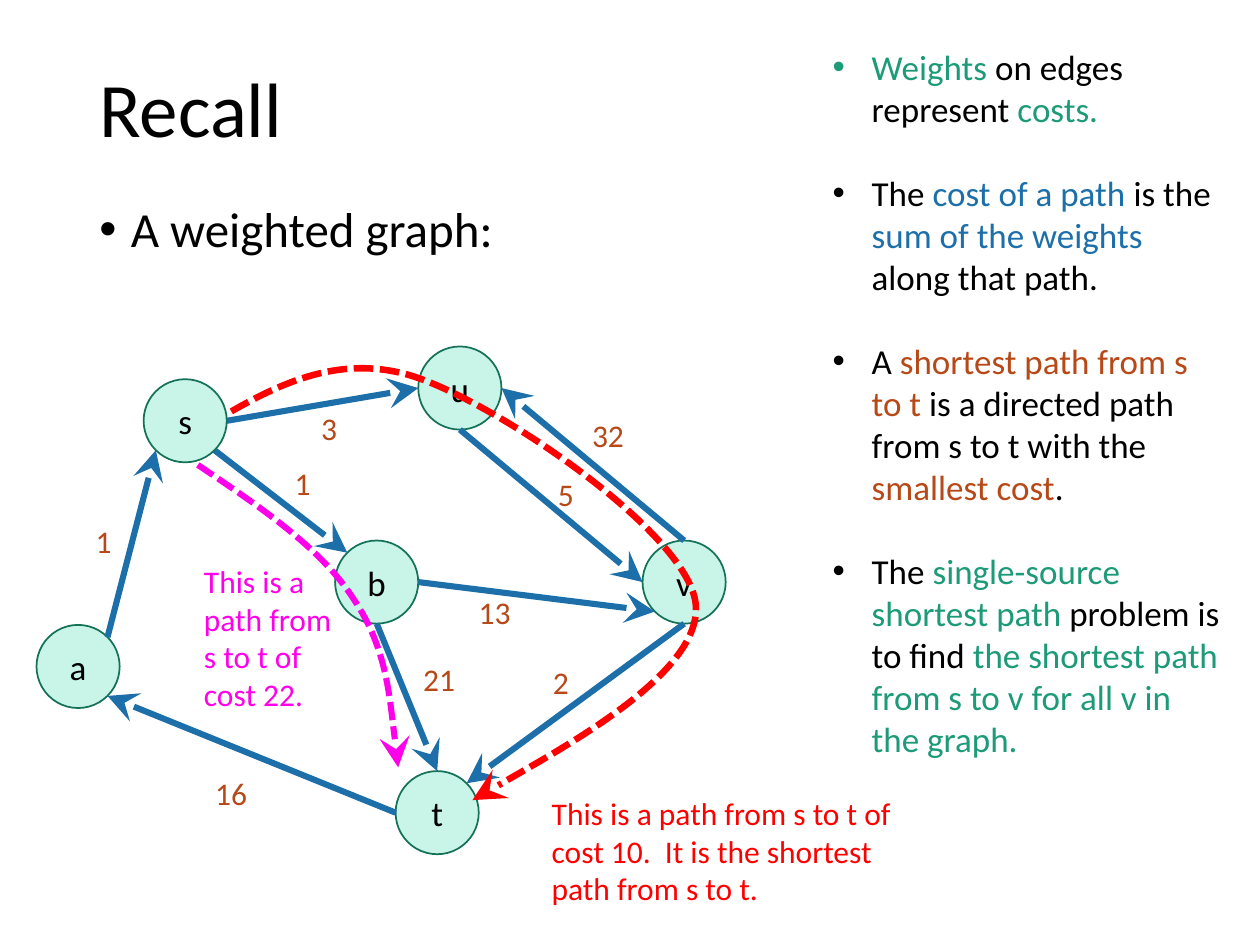
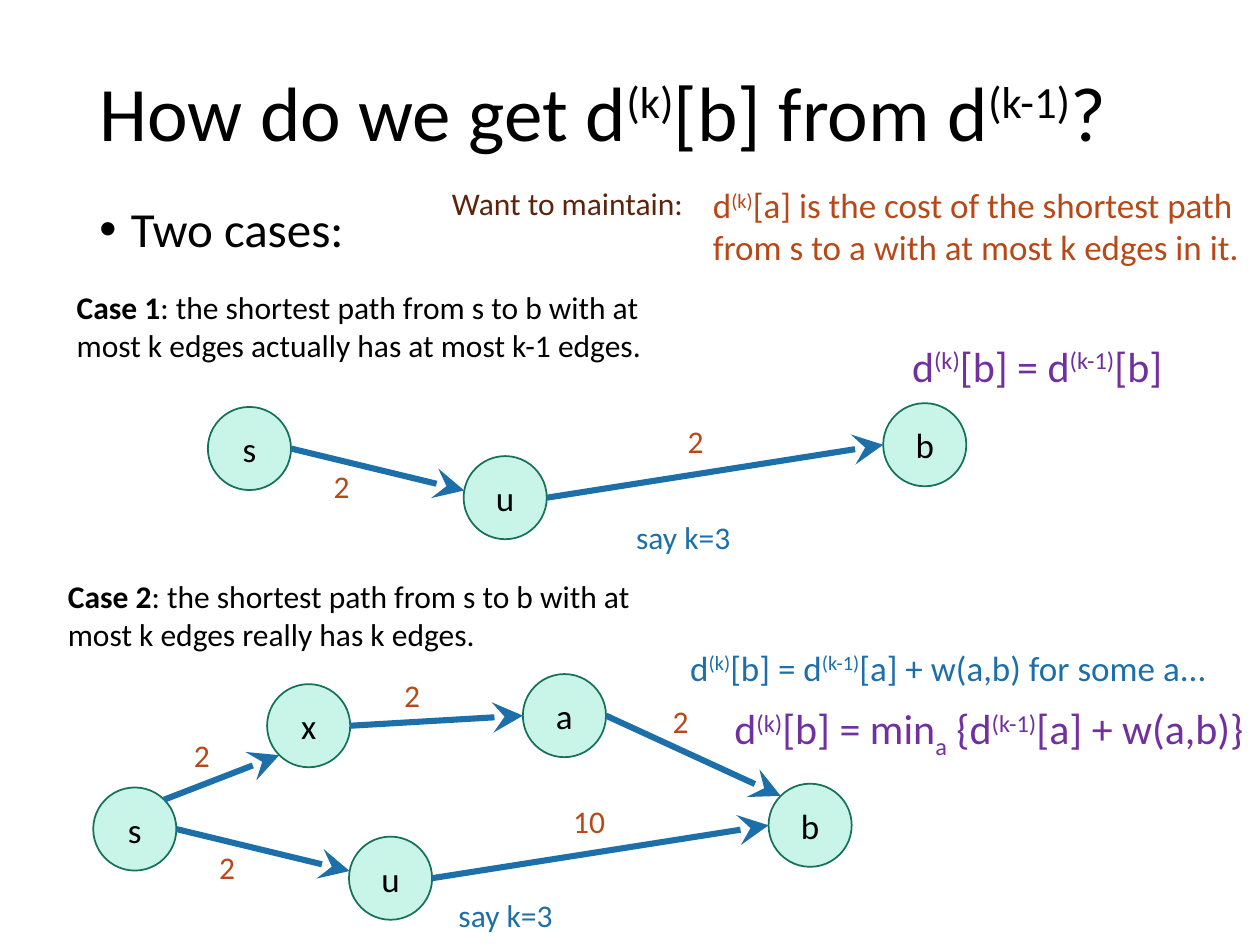
from math import cos, radians, sin

from lxml.etree import SubElement
from pptx import Presentation
from pptx.dml.color import RGBColor
from pptx.enum.dml import MSO_LINE
from pptx.enum.shapes import MSO_CONNECTOR, MSO_SHAPE
from pptx.enum.text import MSO_ANCHOR, PP_ALIGN
from pptx.oxml.ns import qn
from pptx.util import Inches, Pt

BLACK = RGBColor(0x00, 0x00, 0x00)
MINT = RGBColor(0xC8, 0xF5, 0xE8)
DARK_GREEN = RGBColor(0x15, 0x72, 0x59)
GREEN = RGBColor(0x1D, 0x9A, 0x78)
BLUE = RGBColor(0x1D, 0x6F, 0xA9)
RUST = RGBColor(0xB7, 0x49, 0x19)
BROWN = RGBColor(0x5C, 0x24, 0x0C)
PURPLE = RGBColor(0x70, 0x30, 0xA0)
MAGENTA = RGBColor(0xFF, 0x00, 0xEB)
RED = RGBColor(0xFF, 0x00, 0x00)

FONT = "Calibri"
NODE = 0.66
RIGHT, LOWER_RIGHT, BOTTOM, LOWER_LEFT = 0, 45, 90, 135
LEFT, LEFT_RAISED, UPPER_LEFT, TOP, UPPER_RIGHT = 180, 190, 225, 270, 315

SUP = {"base": 30000}
SUB = {"base": -25000}
D_K = ["d", ("(k)", SUP)]
D_K1 = ["d", ("(k-1)", SUP)]


def add_run(p, text, size=18, color=BLACK, bold=False, base=0):
    r = p.add_run()
    r.text = text
    r.font.name = FONT
    r.font.size = Pt(size)
    r.font.bold = bold
    r.font.color.rgb = color
    if base:
        r.font._element.set("baseline", str(base))


def add_bullet(p, indent):
    pPr = p._p.get_or_add_pPr()
    pPr.set("marL", str(Inches(indent)))
    pPr.set("indent", str(-Inches(indent)))
    SubElement(pPr, qn("a:buFont")).set("typeface", "Arial")
    SubElement(pPr, qn("a:buChar")).set("char", "•")


def add_arrowhead(line):
    tail = SubElement(line._get_or_add_ln(), qn("a:tailEnd"))
    for name, value in (("type", "stealth"), ("w", "lg"), ("len", "lg")):
        tail.set(name, value)


def bring_to_front(sp):
    sp.element.getparent().append(sp.element)


class GraphDeck:
    def __init__(self):
        self.prs = Presentation()
        self.prs.slide_width = Inches(10)
        self.prs.slide_height = Inches(7.5)
        self.s = None

    def slide(self, title, topic, top=0.4, height=1.05):
        self.s = self.prs.slides.add_slide(self.prs.slide_layouts[6])
        self.text(0.69, top, 8.62, height, [title], size=44,
                  anchor=MSO_ANCHOR.MIDDLE, spacing=0.9)
        self.text(0.69, 1.58, 8.62, 4.76, [[topic]], size=28, indent=0.25, spacing=0.9)

    def text(self, left, top, width, height, paragraphs, size=18, color=BLACK,
             align=PP_ALIGN.LEFT, anchor=MSO_ANCHOR.TOP, indent=0, spacing=None, gap=0):
        tf = self.s.shapes.add_textbox(
            Inches(left), Inches(top), Inches(width), Inches(height)).text_frame
        tf.word_wrap = True
        tf.vertical_anchor = anchor
        for i, runs in enumerate(paragraphs):
            p = tf.add_paragraph() if i else tf.paragraphs[0]
            if spacing:
                p.line_spacing = spacing
            if i:
                p.space_before = Pt(gap)
            if indent:
                add_bullet(p, indent)
            p.alignment = align
            for run in runs:
                words, style = (run, {}) if isinstance(run, str) else run
                add_run(p, words, **{"size": size, "color": color, **style})

    def weight(self, left, top, value):
        self.text(left, top, 0.55, 0.4, [[value]], color=RUST)

    def node(self, name, left, top):
        sp = self.s.shapes.add_shape(
            MSO_SHAPE.OVAL, Inches(left), Inches(top), Inches(NODE), Inches(NODE))
        sp.shadow.inherit = False
        sp.fill.solid()
        sp.fill.fore_color.rgb = MINT
        sp.line.color.rgb = DARK_GREEN
        sp.line.width = Pt(1)
        tf = sp.text_frame
        tf.vertical_anchor = MSO_ANCHOR.MIDDLE
        p = tf.paragraphs[0]
        p.alignment = PP_ALIGN.CENTER
        add_run(p, name, size=20)
        return sp

    def nodes(self, places):
        return {name: self.node(name, *at) for name, at in places.items()}

    def edge(self, start, start_angle, end, end_angle):
        ends = []
        for sp, angle in ((start, start_angle), (end, end_angle)):
            radius = sp.width / 2
            ends.append(int(sp.left + radius + radius * cos(radians(angle))))
            ends.append(int(sp.top + radius + radius * sin(radians(angle))))
        line = self.s.shapes.add_connector(MSO_CONNECTOR.STRAIGHT, *ends)
        line.line.color.rgb = BLUE
        line.line.width = Pt(3.5)
        add_arrowhead(line.line)
        SubElement(line.element.spPr, qn("a:effectLst"))

    def curve(self, points, color, width):
        start, *controls = [(Inches(x), Inches(y)) for x, y in points]
        builder = self.s.shapes.build_freeform(*start)
        builder.add_line_segments(controls, close=False)
        sp = builder.convert_to_shape()
        outline = next(sp.element.iter(qn("a:path")))
        steps = outline.findall(qn("a:lnTo"))
        for i in range(0, len(steps), 3):
            bezier = SubElement(outline, qn("a:cubicBezTo"))
            for step in steps[i:i + 3]:
                bezier.append(step[0])
                outline.remove(step)
        sp.shadow.inherit = False
        sp.fill.background()
        sp.line.color.rgb = color
        sp.line.width = Pt(width)
        sp.line.dash_style = MSO_LINE.SQUARE_DOT
        sp.line._get_or_add_ln().find(qn("a:prstDash")).set("val", "sysDash")
        add_arrowhead(sp.line)


def recall_slide(deck):
    deck.slide(["Recall"], "A weighted graph:", top=0.17, height=1.45)
    n = deck.nodes({
        "u": (3.32, 2.75), "v": (5.1, 4.29), "a": (0.29, 4.96),
        "b": (2.66, 4.29), "t": (3.14, 6.12), "s": (1.14, 3.01),
    })
    for start, start_angle, end, end_angle in (
        ("s", RIGHT, "u", LEFT),
        ("s", LOWER_RIGHT, "b", UPPER_LEFT),
        ("b", RIGHT, "v", LOWER_LEFT),
        ("u", BOTTOM, "v", LEFT),
        ("v", TOP, "u", RIGHT),
        ("v", BOTTOM, "t", UPPER_RIGHT),
        ("b", BOTTOM, "t", TOP),
        ("t", LEFT, "a", LOWER_RIGHT),
        ("a", UPPER_RIGHT, "s", LOWER_LEFT),
    ):
        deck.edge(n[start], start_angle, n[end], end_angle)
    for left, top, value in (
        (2.45, 3.2, "3"), (4.6, 3.25, "32"), (4.33, 3.72, "5"), (4.29, 5.21, "2"),
        (3.7, 4.66, "13"), (1.61, 6.09, "16"), (0.66, 4.09, "1"),
        (2.24, 3.63, "1"), (3.26, 5.19, "21"),
    ):
        deck.weight(left, top, value)

    green, blue, rust = ({"color": c} for c in (GREEN, BLUE, RUST))
    deck.text(6.51, 0.31, 3.28, 5.96, [
        [("Weights", green), " on edges represent ", ("costs.", green)],
        ["The ", ("cost of a path ", blue), "is the ",
         ("sum of the weights", blue), " along that path."],
        ["A ", ("shortest path from s to t ", rust),
         "is a directed path from s to t with the ", ("smallest cost", rust), "."],
        ["The ", ("single-source shortest path", green), " problem is to find ",
         ("the shortest path from s to v for all v in the graph.", green)],
    ], size=20, indent=0.31, gap=24)

    deck.curve([(1.57, 3.69), (2.06, 4.02), (2.55, 4.35), (2.81, 4.76),
                (3.08, 5.16), (3.16, 6.09), (3.16, 6.09)], MAGENTA, 3.5)
    deck.text(1.52, 4.41, 1.31, 1.31, [["This is a path from s to t of cost 22."]],
              color=MAGENTA)
    deck.curve([(1.48, 3.48), (2.05, 3.13), (2.61, 2.77), (3.29, 2.99),
                (3.96, 3.21), (5.44, 4.22), (5.52, 4.78),
                (5.6, 5.34), (3.75, 6.35), (3.75, 6.35)], RED, 3.75)
    bring_to_front(n["s"])
    deck.text(4.28, 6.25, 2.91, 1.01, [[
        "This is a path from s to t of cost 10.  It is the shortest path from s to t."]],
        color=RED)


def update_slide(deck):
    deck.slide(["How do we get "] + D_K + ["[b] from "] + D_K1 + ["?"], "Two cases:")
    deck.text(2.46, 1.41, 3.06, 0.4, [["Want to maintain:"]], color=BROWN,
              align=PP_ALIGN.RIGHT)
    deck.text(5.56, 1.41, 4.74, 0.77, [D_K + [
        "[a] is the cost of the shortest path from s to a with at most k edges in it."]],
        size=20, color=RUST)

    for left, top, case, claim in (
        (0.51, 2.24, "Case 1", "actually has at most k-1 edges."),
        (0.44, 4.53, "Case 2", "really has k edges."),
    ):
        deck.text(left, top, 5.12, 0.71, [[
            (case, {"bold": True}),
            ": the shortest path from s to b with at most k edges " + claim]])

    for dx, dy, last_weight in ((0, 0, "2"), (-0.91, 3.02, "10")):
        n = deck.nodes({"s": (1.65 + dx, 3.23 + dy), "u": (3.68 + dx, 3.62 + dy),
                        "b": (7.01 + dx, 3.2 + dy)})
        deck.edge(n["s"], RIGHT, n["u"], LEFT_RAISED)
        deck.edge(n["u"], RIGHT, n["b"], LEFT)
        deck.weight(2.55 + dx, 3.66 + dy, "2")
        deck.weight(5.36 + dx, 3.3 + dy, last_weight)

    n.update(deck.nodes({"x": (2.12, 5.43), "a": (4.15, 5.35)}))
    deck.edge(n["s"], UPPER_RIGHT, n["x"], LOWER_LEFT)
    deck.edge(n["x"], RIGHT, n["a"], LEFT)
    deck.edge(n["a"], RIGHT, n["b"], UPPER_LEFT)
    for left, top in ((1.44, 5.79), (3.11, 5.32), (5.24, 5.52)):
        deck.weight(left, top, "2")

    for left, top in ((4.95, 4.06), (3.54, 7.06)):
        deck.text(left, top, 1.15, 0.4, [["say k=3"]], color=BLUE)
    deck.text(7.14, 2.65, 2.37, 0.5, [D_K + ["[b] = "] + D_K1 + ["[b]"]],
              size=24, color=PURPLE)
    deck.text(5.38, 5.08, 5.16, 0.77,
              [D_K + ["[b] = "] + D_K1 + ["[a] + w(a,b) for some a..."]],
              size=20, color=BLUE)
    deck.text(5.73, 5.53, 4.38, 0.5,
              [D_K + ["[b] = min", ("a", SUB), " {"] + D_K1 + ["[a] + w(a,b)}"]],
              size=24, color=PURPLE)


def main():
    deck = GraphDeck()
    recall_slide(deck)
    update_slide(deck)
    deck.prs.save("out.pptx")


if __name__ == "__main__":
    main()
